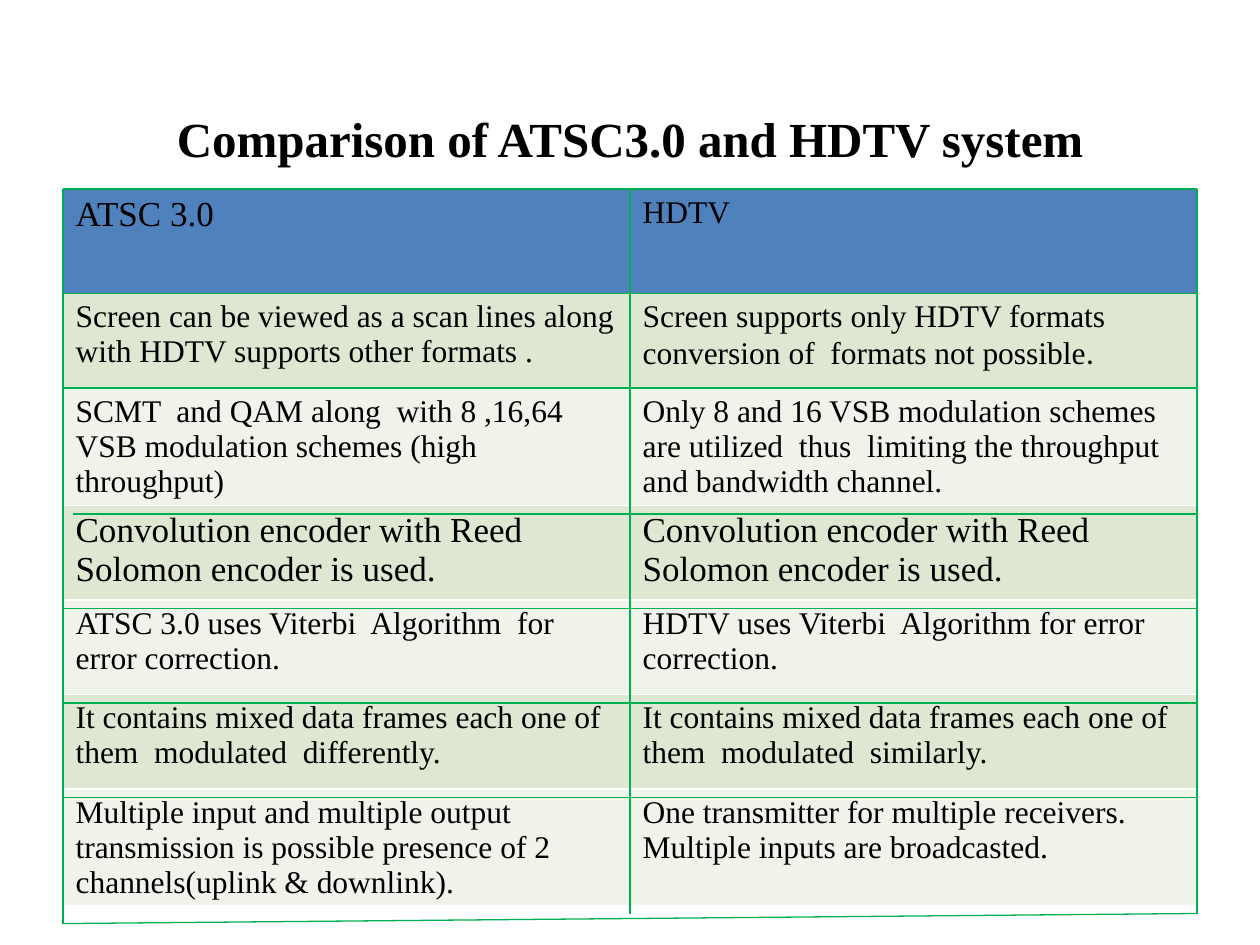
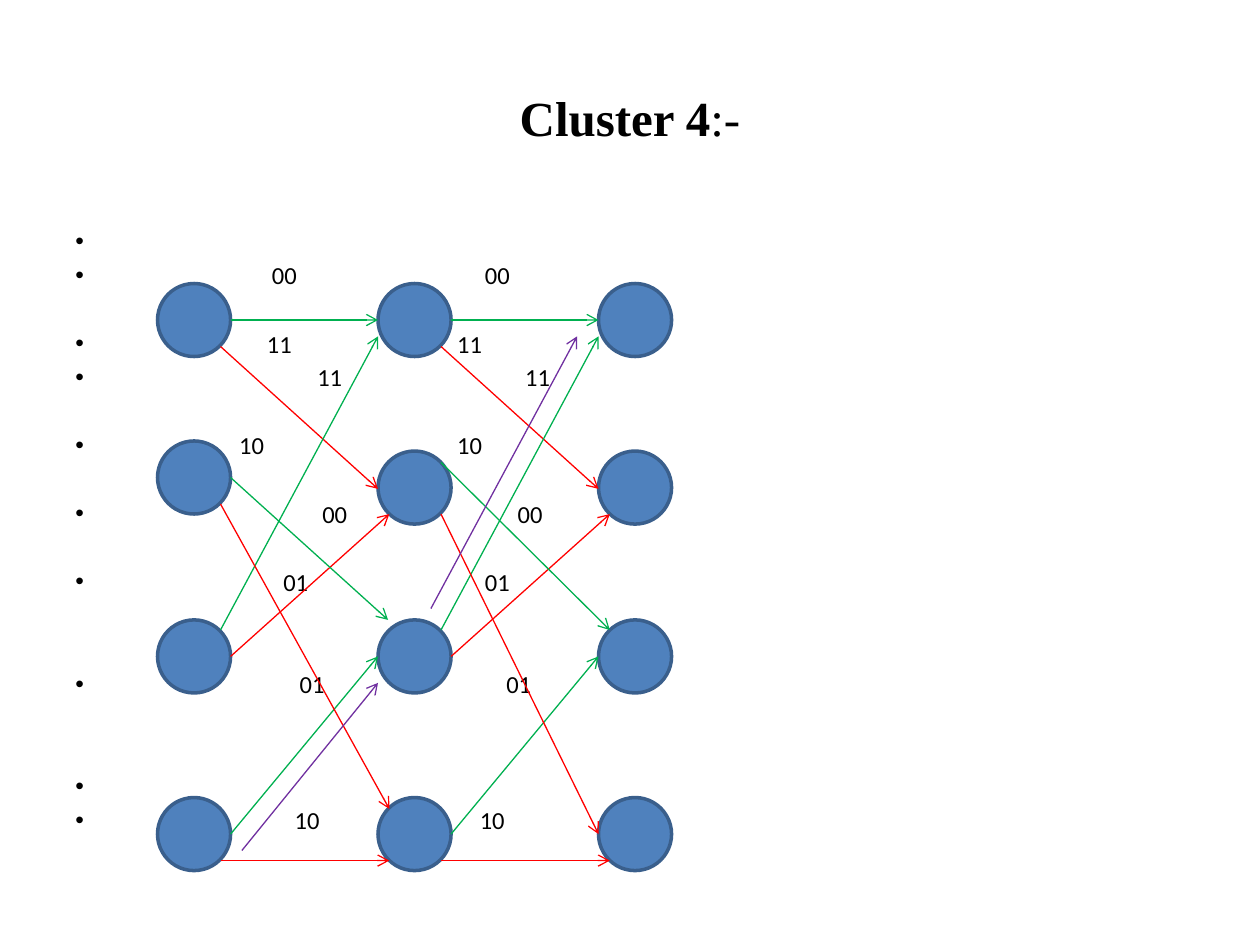
from dataclasses import dataclass

from lxml.etree import SubElement
from pptx import Presentation
from pptx.dml.color import RGBColor
from pptx.enum.shapes import MSO_CONNECTOR, MSO_SHAPE
from pptx.enum.text import MSO_ANCHOR, PP_ALIGN
from pptx.oxml.ns import qn
from pptx.util import Inches, Pt


@dataclass(frozen=True)
class Theme:
    black: str = "000000"
    blue: str = "4F81BD"
    blue_edge: str = "3A5F8C"
    bands: tuple = ("DEE7D1", "EFF3EA")
    green: str = "00B050"
    red: str = "FF0000"
    purple: str = "7030A0"
    serif: str = "Times New Roman"
    sans: str = "Calibri"
    title_size: float = 28
    large_size: float = 20
    body_size: float = 18
    label_size: float = 14
    thin: float = 0.75
    edge: float = 2


THEME = Theme()
TITLE_ONLY = 5

# Comparison slide
COMPARISON_TITLE = "Comparison of ATSC3.0 and HDTV system"
COMPARISON = [
    ("ATSC 3.0", "HDTV"),
    ("Screen can be viewed as a scan lines along with HDTV supports other formats .",
     [("Screen supports only HDTV formats conversion of  formats not possible", {}),
      (".", {"font": THEME.sans})]),
    ("SCMT  and QAM along  with 8 ,16,64 VSB modulation schemes (high throughput)",
     "Only 8 and 16 VSB modulation schemes are utilized  thus  limiting the throughput "
     "and bandwidth channel."),
    ("Convolution encoder with Reed Solomon encoder is used.",
     "Convolution encoder with Reed Solomon encoder is used."),
    ("ATSC 3.0 uses Viterbi  Algorithm  for error correction.",
     "HDTV uses Viterbi  Algorithm for error correction."),
    ("It contains mixed data frames each one of them  modulated  differently.",
     "It contains mixed data frames each one of them  modulated  similarly."),
    ("Multiple input and multiple output transmission is possible presence of 2 "
     "channels(uplink & downlink).",
     "One transmitter for multiple receivers. Multiple inputs are broadcasted."),
]
LARGE_CELLS = {(0, 0), (3, 0), (3, 1)}
HEADER_HEIGHT, ROW_HEIGHT = 0.83, 0.75
LEFT, MIDDLE, RIGHT = 0.5, 5, 9.5
TOP, BOTTOM, BOTTOM_LEFT = 1.5, 7.25, 7.33
RULES = [(LEFT, y, RIGHT, y) for y in (TOP, 2.33, 3.08, 4.83, 5.58, 6.33)] + [
    (0.58, 4.08, RIGHT, 4.08),
    (LEFT, BOTTOM_LEFT, RIGHT, BOTTOM),
    (LEFT, TOP, LEFT, BOTTOM_LEFT),
    (MIDDLE, TOP, MIDDLE, BOTTOM),
    (RIGHT, TOP, RIGHT, BOTTOM),
]

# Trellis slide
CLUSTER_TITLE = [("Cluster 4", {}), (":-", {"bold": False})]
# line number, label text, left edge of the label in each stage
BRANCH_LABELS = [
    (0, "", ()),
    (1, "00", (2.16, 3.85)),
    (3, "11", (2.12, 3.63)),
    (4, "11", (2.52, 4.17)),
    (6, "10", (1.9, 3.63)),
    (8, "00", (2.56, 4.11)),
    (10, "01", (2.25, 3.85)),
    (13, "01", (2.38, 4.02)),
    (16, "", ()),
    (17, "10", (2.34, 3.81)),
]
LINE_PITCH, LINE_HEIGHT = 19.6, 17.1
LABELS_LEFT, INSET = 0.5, 0.1
STATE_SIZE, STAGE_LEFT, STAGE_STEP = 0.58, 1.25, 1.75
STATE_TOPS = [(2.25, 3.5, 4.92, 6.33)] + [(2.25, 3.58, 4.92, 6.33)] * 2
# These branches repeat in both stages
REPEATED_BRANCHES = [
    (1.83, 2.54, 3, 2.54, THEME.green),
    (1.75, 2.75, 3, 3.88, THEME.red),
    (1.75, 6.83, 3.09, 6.83, THEME.red),
    (1.83, 6.62, 3, 5.21, THEME.green),
    (1.75, 5, 3, 2.67, THEME.green),
    (1.83, 5.21, 3.09, 4.08, THEME.red),
]
SINGLE_BRANCHES = [
    (1.83, 3.79, 3.08, 4.92, THEME.green),
    (3.5, 3.67, 4.84, 5, THEME.green),
    (1.75, 4, 3.09, 6.42, THEME.red),
    (3.5, 4.08, 4.75, 6.62, THEME.red),
    (1.92, 6.75, 3, 5.42, THEME.purple),
    (3.42, 4.83, 4.58, 2.67, THEME.purple),
]


def write(para, text, **text_format):
    """Add text, or (text, overrides) spans, to a paragraph."""
    spans = [(text, {})] if isinstance(text, str) else text
    for words, overrides in spans:
        look = {"font": THEME.serif, "size": THEME.body_size, "bold": False,
                "color": THEME.black, **text_format, **overrides}
        span = para.add_run()
        span.text = words
        span.font.name = look["font"]
        span.font.size = Pt(look["size"])
        span.font.bold = look["bold"]
        span.font.color.rgb = RGBColor.from_string(look["color"])


def add_titled_page(deck, title, top, height):
    page = deck.slides.add_slide(deck.slide_layouts[TITLE_ONLY])
    box = page.shapes.title
    box.left, box.top, box.width, box.height = map(Inches, (LEFT, top, RIGHT - LEFT, height))
    frame = box.text_frame
    frame.vertical_anchor = MSO_ANCHOR.MIDDLE
    para = frame.paragraphs[0]
    para.alignment = PP_ALIGN.CENTER
    write(para, title, size=THEME.title_size, bold=True)
    return page


def add_line(page, ends, color, arrow=False):
    line = page.shapes.add_connector(MSO_CONNECTOR.STRAIGHT, *map(Inches, ends))
    line.line.color.rgb = RGBColor.from_string(color)
    line.line.width = Pt(THEME.thin)
    if arrow:
        SubElement(line.line._get_or_add_ln(), qn("a:tailEnd"), type="arrow")
    SubElement(line._element.spPr, qn("a:effectLst"))


def add_comparison_table(page):
    height = HEADER_HEIGHT + ROW_HEIGHT * (len(COMPARISON) - 1)
    table = page.shapes.add_table(
        len(COMPARISON), 2, *map(Inches, (LEFT, TOP, RIGHT - LEFT, height))).table
    for row, texts in enumerate(COMPARISON):
        table.rows[row].height = Inches(ROW_HEIGHT if row else HEADER_HEIGHT)
        fill = THEME.bands[(row - 1) % 2] if row else THEME.blue
        for column, text in enumerate(texts):
            cell = table.cell(row, column)
            cell.fill.solid()
            cell.fill.fore_color.rgb = RGBColor.from_string(fill)
            large = (row, column) in LARGE_CELLS
            write(cell.text_frame.paragraphs[0], text,
                  size=THEME.large_size if large else THEME.body_size)


def add_branch_labels(page):
    """Bulleted list whose labels are placed with tab stops."""
    box = page.shapes.add_textbox(*map(Inches, (LABELS_LEFT, 1.75, 9, 4.95)))
    frame = box.text_frame
    frame.word_wrap = True
    previous = 0
    for line, label, lefts in BRANCH_LABELS:
        para = frame.add_paragraph() if line else frame.paragraphs[0]
        properties = para._p.get_or_add_pPr()
        properties.set("marL", "0")
        properties.set("indent", "0")
        SubElement(properties, qn("a:buFont"), typeface="Arial")
        SubElement(properties, qn("a:buChar"), char="•")
        if lefts:
            stops = SubElement(properties, qn("a:tabLst"))
            for left in lefts:
                position = Inches(left - LABELS_LEFT - INSET)
                SubElement(stops, qn("a:tab"), pos=str(position), algn="l")
        if line:
            para.space_before = Pt((line - previous) * LINE_PITCH - LINE_HEIGHT)
        write(para, "".join("\t" + label for _ in lefts) or "\t",
              font=THEME.sans, size=THEME.label_size)
        previous = line


def add_states(page):
    for stage, tops in enumerate(STATE_TOPS):
        left = STAGE_LEFT + stage * STAGE_STEP
        for top in tops:
            state = page.shapes.add_shape(
                MSO_SHAPE.OVAL, *map(Inches, (left, top, STATE_SIZE, STATE_SIZE)))
            state.shadow.inherit = False
            state.fill.solid()
            state.fill.fore_color.rgb = RGBColor.from_string(THEME.blue)
            state.line.color.rgb = RGBColor.from_string(THEME.blue_edge)
            state.line.width = Pt(THEME.edge)


def add_branches(page):
    for x1, y1, x2, y2, color in REPEATED_BRANCHES:
        for shift in (0, STAGE_STEP):
            add_line(page, (x1 + shift, y1, x2 + shift, y2), color, arrow=True)
    for *ends, color in SINGLE_BRANCHES:
        add_line(page, ends, color, arrow=True)


def main():
    deck = Presentation()
    deck.slide_width, deck.slide_height = Inches(10), Inches(7.5)

    comparison = add_titled_page(deck, COMPARISON_TITLE, 0.77, 0.65)
    add_comparison_table(comparison)
    for ends in RULES:
        add_line(comparison, ends, THEME.green)

    trellis = add_titled_page(deck, CLUSTER_TITLE, 0.3, 1.25)
    add_branch_labels(trellis)
    add_states(trellis)
    add_branches(trellis)

    deck.save("out.pptx")


if __name__ == "__main__":
    main()
